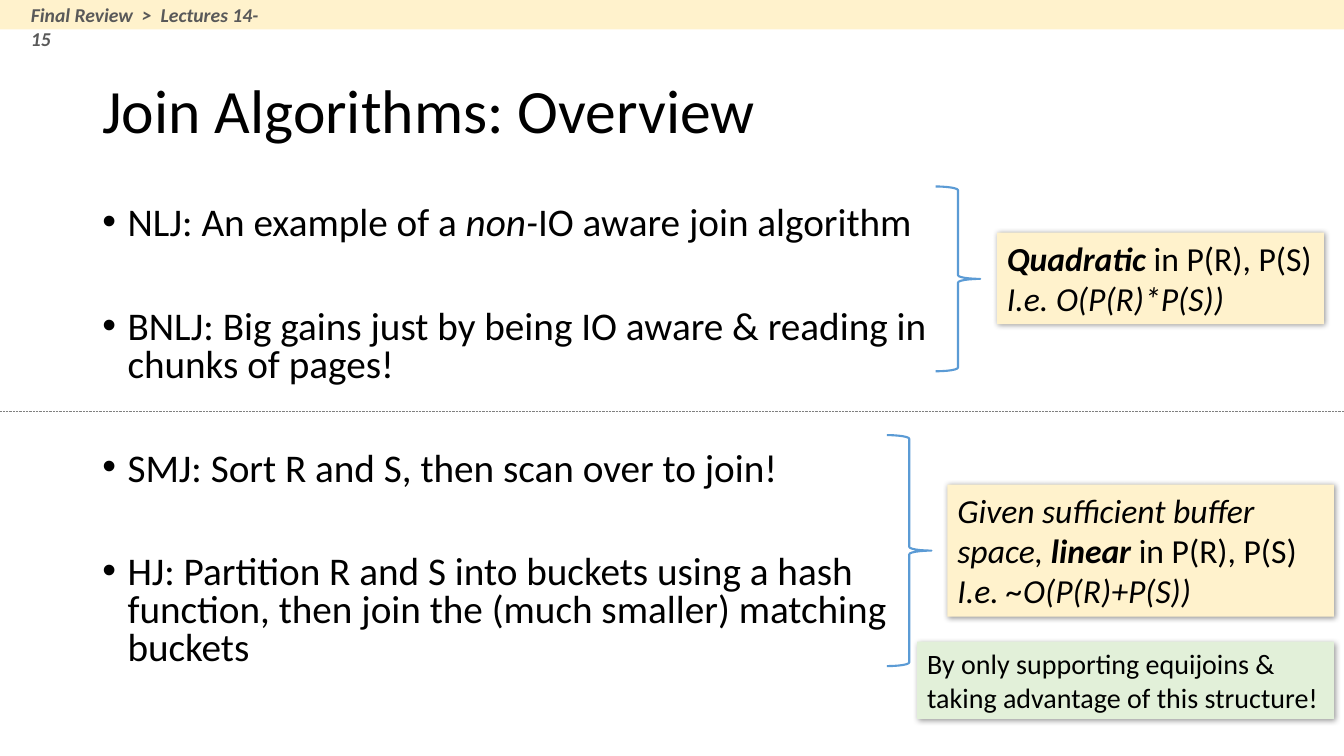
import pptx
import pptx.util
import pptx.dml.color
import pptx.enum.dml
import pptx.enum.shapes
import pptx.enum.text
import pptx.oxml
import pptx.oxml.ns
from lxml import etree

RGBColor = pptx.dml.color.RGBColor
SHAPE = pptx.enum.shapes.MSO_SHAPE
ANCHOR = pptx.enum.text.MSO_ANCHOR

BLACK = RGBColor(0x00, 0x00, 0x00)
DARK_GRAY = RGBColor(0x59, 0x59, 0x59)
GRAY = RGBColor(0x80, 0x80, 0x80)
CREAM = RGBColor(0xFF, 0xF2, 0xCC)
GREEN = RGBColor(0xE2, 0xF0, 0xD9)
BLUE = RGBColor(0x5B, 0x9B, 0xD5)

SHADOW = (
    '<a:outerShdw %s blurRad="50800" dist="12700" dir="2700000" algn="tl" rotWithShape="0">'
    '<a:srgbClr val="000000"><a:alpha val="40000"/></a:srgbClr></a:outerShdw>'
) % pptx.oxml.ns.nsdecls("a")


class Slide:
    """One page on a grid of 160 columns by 90 rows, with its text style."""

    FONT = "Calibri"
    COLUMNS, ROWS = 160, 90

    def __init__(self, deck):
        self.page = deck.slides.add_slide(deck.slide_layouts[6])
        self.column = deck.slide_width / self.COLUMNS
        self.row = deck.slide_height / self.ROWS

    def place(self, left, top, width, height):
        return (round(left * self.column), round(top * self.row),
                round(width * self.column), round(height * self.row))

    def fill_text(self, frame, paragraphs, size, color=BLACK, bullets=False, line=1.0, before=0):
        """Each paragraph is a list of (text, style) spans; style holds b and i."""
        frame.word_wrap = True
        for index, spans in enumerate(paragraphs):
            para = frame.paragraphs[0] if index == 0 else frame.add_paragraph()
            para.alignment = pptx.enum.text.PP_ALIGN.LEFT
            para.line_spacing = line
            para.space_before = pptx.util.Pt(before if index else 0)
            if bullets:
                self.add_bullet(para)
            para.font.name = self.FONT
            para.font.size = pptx.util.Pt(size)
            para.font.color.rgb = color
            styles = {style for _, style in spans}
            if len(styles) == 1:
                self.set_style(para.font, *styles)
            for text, style in spans:
                span = para.add_run()
                span.text = text
                if len(styles) > 1:
                    self.set_style(span.font, style)

    def set_style(self, font, style):
        font.bold = "b" in style
        font.italic = "i" in style

    def add_bullet(self, para):
        properties = para._p.get_or_add_pPr()
        indent = pptx.util.Inches(0.25)
        properties.set("marL", str(indent))
        properties.set("indent", str(-indent))
        for tag, name, value in (("a:buFont", "typeface", "Arial"), ("a:buChar", "char", "•")):
            etree.SubElement(properties, pptx.oxml.ns.qn(tag)).set(name, value)

    def text(self, area, paragraphs, size, anchor=ANCHOR.TOP, **options):
        box = self.page.shapes.add_textbox(*self.place(*area))
        box.text_frame.vertical_anchor = anchor
        self.fill_text(box.text_frame, paragraphs, size, **options)

    def panel(self, area, fill):
        box = self.page.shapes.add_shape(SHAPE.RECTANGLE, *self.place(*area))
        box.shadow.inherit = False
        box.fill.solid()
        box.fill.fore_color.rgb = fill
        box.line.fill.background()
        return box

    def note(self, area, fill, paragraphs, size):
        box = self.panel(area, fill)
        effects = box._element.spPr.find(pptx.oxml.ns.qn("a:effectLst"))
        effects.append(pptx.oxml.parse_xml(SHADOW))
        box.text_frame.vertical_anchor = ANCHOR.TOP
        self.fill_text(box.text_frame, paragraphs, size)

    def brace(self, area):
        brace = self.page.shapes.add_shape(SHAPE.RIGHT_BRACE, *self.place(*area))
        brace.shadow.inherit = False
        brace.fill.background()
        brace.line.color.rgb = BLUE
        brace.line.width = pptx.util.Pt(1.5)

    def divider(self, row):
        left, top, width, _ = self.place(0, row, self.COLUMNS, 0)
        rule = self.page.shapes.add_connector(
            pptx.enum.shapes.MSO_CONNECTOR.STRAIGHT, left, top, left + width, top)
        rule.line.color.rgb = GRAY
        rule.line.width = pptx.util.Pt(0.5)
        rule.line.dash_style = pptx.enum.dml.MSO_LINE.ROUND_DOT
        etree.SubElement(rule._element.spPr, pptx.oxml.ns.qn("a:effectLst"))


def main():
    deck = pptx.Presentation()
    deck.slide_width = pptx.util.Inches(13.33)
    deck.slide_height = pptx.util.Inches(7.5)
    slide = Slide(deck)

    # Title and the four algorithms
    slide.text((11, 4.8, 138, 17.4), [[("Join Algorithms: Overview", "")]], 44,
               ANCHOR.MIDDLE, line=0.9)
    slide.text((11, 24, 101.9, 57.1), [
        [("NLJ: An example of a ", ""), ("non-", "i"), ("IO aware join algorithm", "")],
        [("BNLJ: Big gains just by being IO aware & reading in chunks of pages!", "")],
        [("SMJ: Sort R and S, then scan over to join!", "")],
        [("HJ: Partition R and S into buckets using a hash function, "
          "then join the (much smaller) matching buckets", "")],
    ], 28, bullets=True, line=0.8, before=47.3)

    # Header band
    slide.panel((0, 0, 160, 3.5), CREAM)
    slide.text((2.5, -0.2, 31.3, 4.1), [[("Final Review  >  Lectures 14-15", "bi")]], 14,
               color=DARK_GRAY)

    # Quadratic joins
    slide.brace((111.4, 22.2, 5.3, 22))
    slide.note((118.7, 27.7, 38.9, 10.9), CREAM, [
        [("Quadratic", "bi"), (" in P(R), P(S)", "")],
        [("I.e. O(P(R)*P(S))", "i")],
    ], 24)

    # Linear joins
    slide.brace((105.6, 51.8, 5.3, 27.5))
    slide.note((112.8, 57.7, 46, 15.7), CREAM, [
        [("Given sufficient buffer space, ", "i"), ("linear ", "bi"), ("in P(R), P(S)", "")],
        [("I.e. ~O(P(R)+P(S))", "i")],
    ], 24)
    slide.note((109.2, 76.4, 49.6, 9.2), GREEN, [
        [("By only supporting equijoins & taking advantage of this structure!", "")],
    ], 20)

    # Line between the two groups
    slide.divider(49)

    deck.save("out.pptx")


if __name__ == "__main__":
    main()
